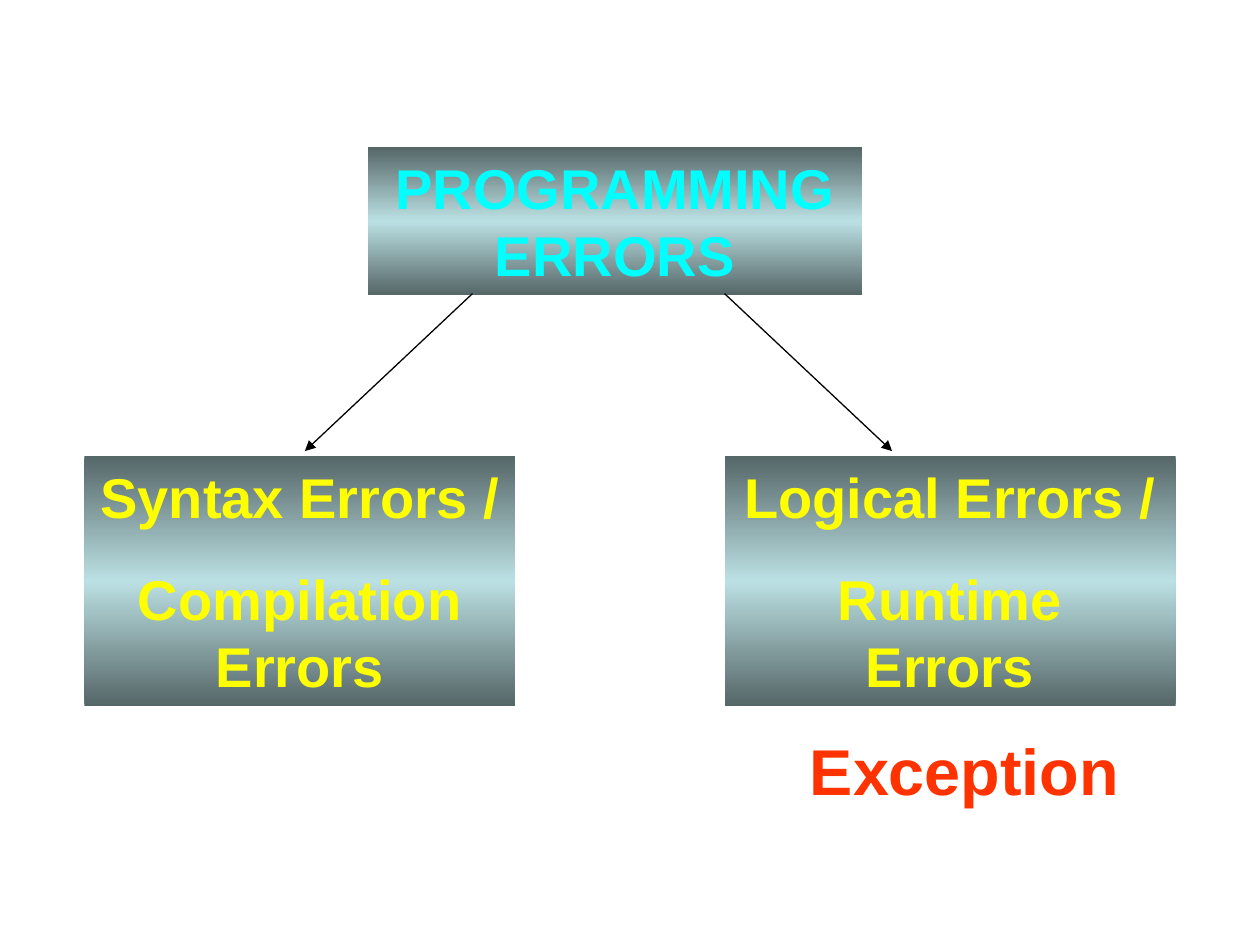
from copy import deepcopy
from dataclasses import dataclass

from pptx import Presentation
from pptx.dml.color import RGBColor
from pptx.enum.shapes import MSO_CONNECTOR, MSO_SHAPE
from pptx.enum.text import MSO_ANCHOR, MSO_AUTO_SIZE, PP_ALIGN
from pptx.oxml.ns import qn
from pptx.shapes.autoshape import Shape
from pptx.slide import Slide
from pptx.util import Inches, Pt
from lxml import etree

RECTANGLE = MSO_SHAPE.RECTANGLE
STRAIGHT = MSO_CONNECTOR.STRAIGHT
TOP = MSO_ANCHOR.TOP
GROW = MSO_AUTO_SIZE.SHAPE_TO_FIT_TEXT
LEFT, CENTER = PP_ALIGN.LEFT, PP_ALIGN.CENTER

FONT_NAME = "Arial"
BOX_EDGE, BOX_MIDDLE = "566768", "BBE0E3"
CYAN, YELLOW, RED, BLACK = "00FFFF", "FFFF00", "FF3300", "000000"


@dataclass(frozen=True)
class Label:
    left: float
    top: float
    width: float
    height: float
    lines: tuple[str, ...]
    color: str
    size: float = 32
    space_before: float = 20
    alignment: PP_ALIGN = CENTER


@dataclass(frozen=True)
class Arrow:
    start: tuple[float, float]
    end: tuple[float, float]


BOXES = (
    Label(2.92, 1.17, 3.92, 1.17, ("PROGRAMMING ERRORS",), CYAN),
    Label(0.67, 3.62, 3.42, 1.98, ("Syntax Errors /", "Compilation Errors"), YELLOW),
    Label(5.75, 3.62, 3.58, 1.98, ("Logical Errors /", "Runtime\vErrors"), YELLOW),
)
ARROWS = (
    Arrow((3.75, 2.33), (2.42, 3.58)),
    Arrow((5.75, 2.33), (7.08, 3.58)),
)
EXCEPTION = Label(6.33, 5.75, 2.67, 0.72, ("Exception",), RED, 37, 23.1, LEFT)


def rgb(color: str) -> RGBColor:
    return RGBColor.from_string(color)


def bounds(label: Label) -> tuple[int, ...]:
    return tuple(Inches(v) for v in (label.left, label.top, label.width, label.height))


def write_text(shape: Shape, label: Label) -> None:
    frame = shape.text_frame
    frame.word_wrap = True
    frame.auto_size = GROW
    frame.vertical_anchor = TOP
    frame.text = "\n".join(label.lines)
    for paragraph in frame.paragraphs:
        paragraph.alignment = label.alignment
        paragraph.space_before = Pt(label.space_before)
        paragraph.font.name = FONT_NAME
        paragraph.font.size = Pt(label.size)
        paragraph.font.bold = True
        paragraph.font.color.rgb = rgb(label.color)


def fill_gradient(shape: Shape) -> None:
    shape.fill.gradient()
    shape.fill.gradient_angle = 90
    edge, middle = shape.fill.gradient_stops
    edge.color.rgb, edge.position = rgb(BOX_EDGE), 0
    middle.color.rgb, middle.position = rgb(BOX_MIDDLE), 0.5
    stop_list = shape.element.spPr.find(".//" + qn("a:gsLst"))
    last_stop = deepcopy(stop_list[0])
    last_stop.set("pos", "100000")
    stop_list.append(last_stop)


def add_box(slide: Slide, label: Label) -> None:
    shape = slide.shapes.add_shape(RECTANGLE, *bounds(label))
    shape.shadow.inherit = False
    shape.line.fill.background()
    fill_gradient(shape)
    write_text(shape, label)


def add_arrow(slide: Slide, arrow: Arrow) -> None:
    points = [Inches(value) for value in arrow.start + arrow.end]
    connector = slide.shapes.add_connector(STRAIGHT, *points)
    connector.line.color.rgb = rgb(BLACK)
    connector.line.width = Pt(0.75)
    properties = connector.element.spPr
    etree.SubElement(properties.find(qn("a:ln")), qn("a:tailEnd"), type="triangle")
    etree.SubElement(properties, qn("a:effectLst"))


def main() -> None:
    presentation = Presentation()
    presentation.slide_width = Inches(10)
    presentation.slide_height = Inches(7.5)
    slide = presentation.slides.add_slide(presentation.slide_layouts[6])
    for box in BOXES:
        add_box(slide, box)
    for arrow in ARROWS:
        add_arrow(slide, arrow)
    write_text(slide.shapes.add_textbox(*bounds(EXCEPTION)), EXCEPTION)
    presentation.save("out.pptx")


if __name__ == "__main__":
    main()
